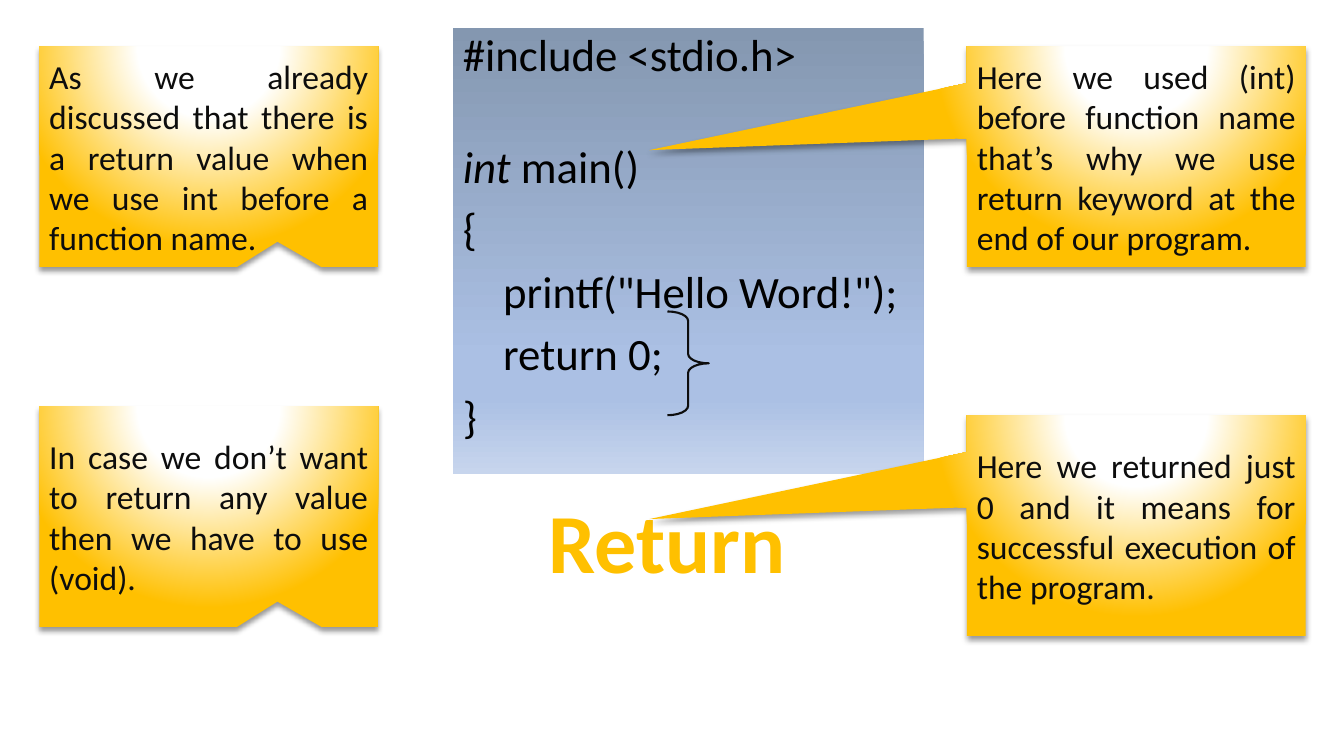
from lxml.etree import SubElement
from pptx import Presentation
from pptx.dml.color import RGBColor
from pptx.enum.shapes import MSO_SHAPE
from pptx.enum.text import MSO_ANCHOR, MSO_AUTO_SIZE, PP_ALIGN
from pptx.oxml import parse_xml
from pptx.oxml.ns import nsdecls, qn
from pptx.util import Inches, Pt

FONT = "Calibri"
COLORS = {"gold": "FFC000", "white": "FFFFFF", "ink": "0D0D0D", "black": "000000",
          "slate": "8497B0", "blue": "ABC0E4", "pale": "C7D5ED"}

TITLE = "Return"
# (text runs as (text, italic), left indent in inches, space before in points)
CODE = [
    ([("#include <stdio.h>", False)], 0, 10),
    ([("int", True), (" main()", False)], 0, 45),
    ([("{", False)], 0, 10),
    ([('printf("Hello Word!");', False)], 0.4, 10),
    ([("return 0;", False)], 0.4, 10),
    ([("}", False)], 0, 10),
]
LEFT_COLUMN, RIGHT_COLUMN = 0.39, 9.59
NOTE_WIDTH, NOTE_HEIGHT = 3.36, 2.19
POINTERS = {LEFT_COLUMN: (0.203, 0.385), RIGHT_COLUMN: (-1.437, -0.03)}
# (left, top, text)
NOTES = [
    (LEFT_COLUMN, 4.03, "In case we don’t want to return any value then we have to use (void)."),
    (LEFT_COLUMN, 0.46, "As we already discussed that there is a return value when we use int "
                        "before a function name."),
    (RIGHT_COLUMN, 0.46, "Here we used (int) before function name that’s why we use return "
                         "keyword at the end of our program."),
    (RIGHT_COLUMN, 4.12, "Here we returned just 0 and it means for successful execution of "
                         "the program."),
]
CODE_STOPS = [(0, "slate"), (74, "blue"), (83, "blue"), (100, "pale")]
CODE_DIRECTION = '<a:lin ang="5400000" scaled="0"/>'
NOTE_STOPS = [(0, "white"), (35, "white"), (100, "gold")]
NOTE_DIRECTION = ('<a:path path="circle">'
                  '<a:fillToRect l="50000" t="-80000" r="50000" b="180000"/></a:path>')


def rgb(name):
    return RGBColor.from_string(COLORS[name])


def place(shape, left, top, width, height):
    shape.left, shape.top = Inches(left), Inches(top)
    shape.width, shape.height = Inches(width), Inches(height)


def style(run, size, color, bold=False, italic=False):
    run.font.name, run.font.size = FONT, Pt(size)
    run.font.bold, run.font.italic = bold, italic
    run.font.color.rgb = rgb(color)


def fill_gradient(shape, stops, direction):
    stop_xml = "".join(f'<a:gs pos="{percent * 1000}"><a:srgbClr val="{COLORS[color]}"/></a:gs>'
                       for percent, color in stops)
    gradient = parse_xml(f'<a:gradFill {nsdecls("a")} rotWithShape="1">'
                         f'<a:gsLst>{stop_xml}</a:gsLst>{direction}</a:gradFill>')
    shape.fill.solid()
    properties = shape.element.spPr
    properties.replace(properties.find(qn("a:solidFill")), gradient)


def drop_shadow(shape):
    shape.shadow.inherit = False
    effects = shape.element.spPr.find(qn("a:effectLst"))
    shadow = SubElement(effects, qn("a:outerShdw"), blurRad=str(Pt(4)), dist=str(Pt(3)),
                        dir="5400000", algn="t", rotWithShape="0")
    color = SubElement(shadow, qn("a:srgbClr"), val=COLORS["black"])
    SubElement(color, qn("a:alpha"), val="40000")


def fill_title(title):
    place(title, 4.92, 4.86, 3.39, 1.06)
    frame = title.text_frame
    frame.text = TITLE
    frame.auto_size = MSO_AUTO_SIZE.NONE
    frame.vertical_anchor = MSO_ANCHOR.BOTTOM
    paragraph = frame.paragraphs[0]
    paragraph.alignment, paragraph.line_spacing = PP_ALIGN.CENTER, 0.9
    style(paragraph.runs[0], 60, "gold", bold=True)


def fill_code(panel):
    place(panel, 4.49, 0.28, 4.67, 4.42)
    fill_gradient(panel, CODE_STOPS, CODE_DIRECTION)
    frame = panel.text_frame
    frame.auto_size = MSO_AUTO_SIZE.NONE
    frame.vertical_anchor = MSO_ANCHOR.TOP
    for number, (pieces, indent, space_before) in enumerate(CODE):
        paragraph = frame.add_paragraph() if number else frame.paragraphs[0]
        paragraph.alignment, paragraph.line_spacing = PP_ALIGN.LEFT, 0.9
        paragraph.space_before = Pt(space_before)
        paragraph._p.get_or_add_pPr().set("marL", str(Inches(indent)))
        for text, italic in pieces:
            run = paragraph.add_run()
            run.text = text
            style(run, 32, "black", italic=italic)


def add_brace(slide):
    brace = slide.shapes.add_shape(MSO_SHAPE.RIGHT_BRACE, Inches(6.62), Inches(3.09),
                                   Inches(0.41), Inches(1.03))
    brace.adjustments[0], brace.adjustments[1] = 0.229, 0.5
    brace.fill.background()
    brace.line.color.rgb, brace.line.width = rgb("ink"), Pt(1.5)
    brace.shadow.inherit = False


def add_note(slide, left, top, text):
    note = slide.shapes.add_shape(MSO_SHAPE.RECTANGULAR_CALLOUT, Inches(left), Inches(top),
                                  Inches(NOTE_WIDTH), Inches(NOTE_HEIGHT))
    note.adjustments[0], note.adjustments[1] = POINTERS[left]
    fill_gradient(note, NOTE_STOPS, NOTE_DIRECTION)
    note.line.fill.background()
    drop_shadow(note)
    frame = note.text_frame
    frame.text = text
    frame.word_wrap = True
    frame.vertical_anchor = MSO_ANCHOR.MIDDLE
    frame.paragraphs[0].alignment = PP_ALIGN.JUSTIFY
    style(frame.paragraphs[0].runs[0], 24, "ink")


def main():
    deck = Presentation()
    deck.slide_width, deck.slide_height = Inches(13.33), Inches(7.5)
    slide = deck.slides.add_slide(deck.slide_layouts[0])
    fill_title(slide.shapes.title)
    fill_code(slide.placeholders[1])
    add_brace(slide)
    for left, top, text in NOTES:
        add_note(slide, left, top, text)
    deck.save("out.pptx")


if __name__ == "__main__":
    main()
